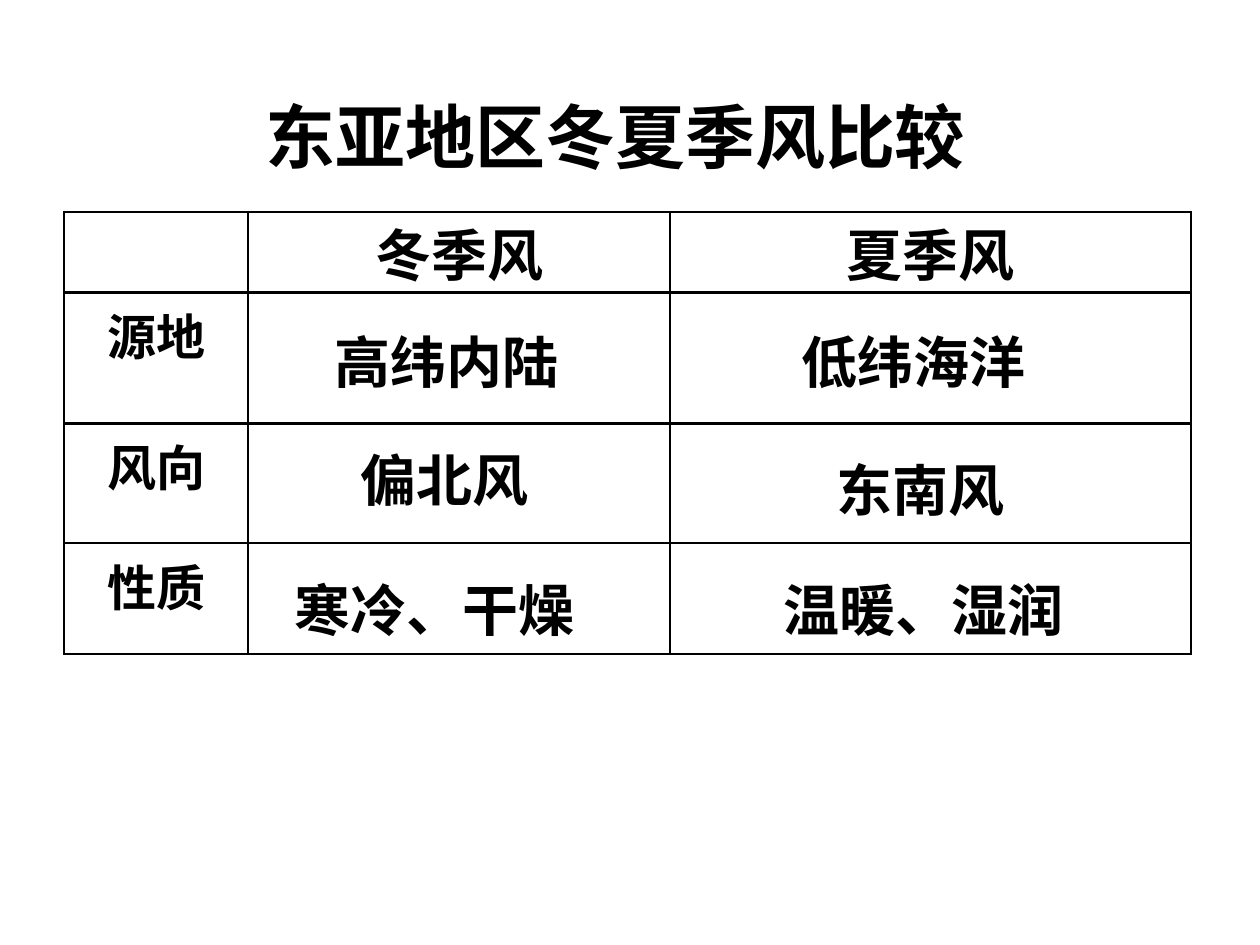
from lxml.etree import SubElement as Sub
from pptx import Presentation
from pptx.dml.color import RGBColor as RGB
from pptx.enum.text import MSO_AUTO_SIZE as Auto, PP_ALIGN as Align
from pptx.oxml.ns import qn
from pptx.util import Pt

INK = "000000"


def write(frame, text, size=32, font="Roboto", color=INK, align=None):
    para = frame.paragraphs[0]
    para.alignment = align
    run = para.add_run()
    run.text = text
    run.font.size = Pt(size)
    run.font.name = font
    run.font.bold = True
    run.font.color.rgb = RGB.from_string(color)


def edge(cell, width, color):
    """Draw a solid line on all four sides of a cell."""
    props = cell._tc.get_or_add_tcPr()
    for spot, side in enumerate(("a:lnL", "a:lnR", "a:lnT", "a:lnB")):
        line = props.makeelement(qn(side), {"w": str(Pt(width))})
        props.insert(spot, line)
        fill = Sub(line, qn("a:solidFill"))
        Sub(fill, qn("a:srgbClr"), val=color)


deck = Presentation()
deck.slide_width, deck.slide_height = Pt(720), Pt(540)
slide = deck.slides.add_slide(deck.slide_layouts[6])

# Table with row and column headings
cols = [105.1, 241.2, 297.4]
rows = [46.1, 74.9, 68.4, 63.4]
heads = [["", "冬季风", "夏季风"], ["源地"], ["风向"], ["性质"]]
grid = slide.shapes.add_table(
    len(rows), len(cols), Pt(36.7), Pt(121), Pt(sum(cols)), Pt(sum(rows))
).table
grid.first_row = grid.horz_banding = False
for col, width in zip(grid.columns, cols):
    col.width = Pt(width)
for row, height in zip(grid.rows, rows):
    row.height = Pt(height)
for cell in grid.iter_cells():
    cell.fill.background()
    edge(cell, 1.47, INK)
for r, names in enumerate(heads):
    for c, name in enumerate(names):
        if name:
            write(grid.cell(r, c).text_frame, name, size=28 if r else 32,
                  font="Times New Roman", align=Align.CENTER)

# A fixed line height keeps the tall heading text inside the low top row
for cell in grid.rows[0].cells:
    cell.margin_top, cell.margin_bottom = Pt(8), Pt(0)
    cell.text_frame.paragraphs[0].line_spacing = Pt(38)

# Title and answers: text, left, top, width, height, size, font, wrap
notes = [
    ("东亚地区冬夏季风比较", 144.7, 49.7, 420, 55.4, 40, "Roboto", False),
    ("偏北风", 198.7, 251.3, 116, 46.1, 32, "Roboto", False),
    ("东南风", 470.9, 257, 116, 46.1, 32, "Roboto", False),
    ("寒冷、干燥", 161.3, 325.4, 180, 46.1, 32, "Roboto", False),
    ("温暖、湿润", 440.6, 325.4, 180, 46.1, 32, "Roboto", False),
    ("高纬内陆", 184.3, 183.6, 187.2, 46.1, 32, "Arial", True),
    ("低纬海洋", 450.7, 183.6, 175.7, 46.1, 32, "Arial", True),
]
for text, left, top, width, height, size, font, wrap in notes:
    box = slide.shapes.add_textbox(Pt(left), Pt(top), Pt(width), Pt(height))
    frame = box.text_frame
    frame.word_wrap = wrap
    frame.auto_size = Auto.SHAPE_TO_FIT_TEXT
    write(frame, text, size=size, font=font)

deck.save("out.pptx")
